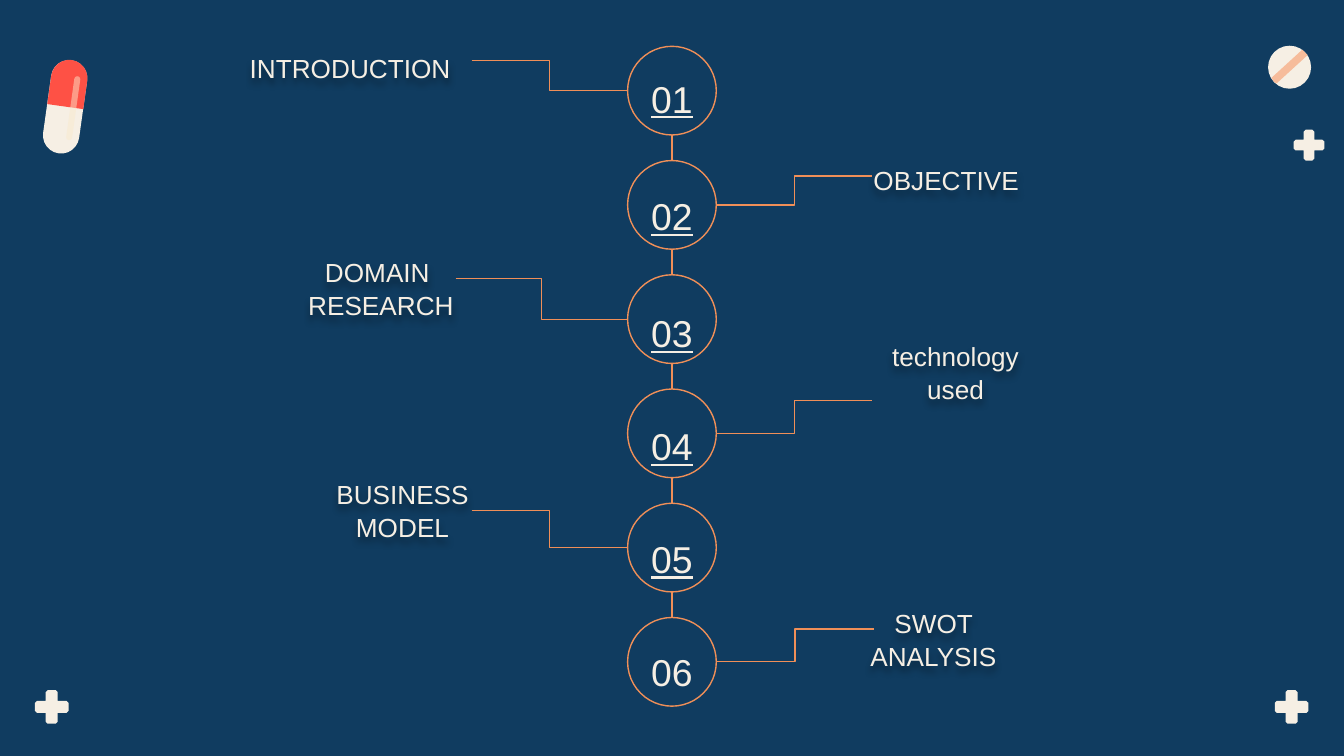
from lxml.etree import SubElement
from pptx import Presentation
from pptx.dml.color import RGBColor
from pptx.enum.shapes import MSO_CONNECTOR as LINK, MSO_SHAPE as SHAPE
from pptx.enum.text import MSO_ANCHOR as ANCHOR, PP_ALIGN as ALIGN
from pptx.oxml.ns import qn
from pptx.util import Emu, Pt

PX = 4572  # EMU per px, 200 px to the inch
NAVY, CREAM, ORANGE = "103C60", "F6EFE4", "F08F58"
RED, PEACH, SHINE = "FE5145", "F6BC9B", "FAE9CD"

# Timeline geometry
AXIS, FIRST, STEP, RADIUS = 1000, 135, 170, 66

# Number box, label, label box, outer end of the elbow
TOPICS = [
    ((934, 94, 132, 104), "INTRODUCTION", (352, 66, 388, 68), (702, 90)),
    ((886, 260, 228, 122), "OBJECTIVE", (1280, 232, 282, 68), (1298, 262)),
    ((886, 434, 228, 122), "DOMAIN \nRESEARCH", (434, 370, 266, 114), (678, 414)),
    ((886, 602, 228, 122), " technology \nused", (1264, 494, 316, 162), (1298, 596)),
    ((886, 770, 228, 122), "BUSINESS MODEL", (458, 700, 282, 114), (702, 760)),
    ((886, 938, 228, 122), "SWOT ANALYSIS", (1248, 892, 282, 114), (1300, 936)),
]


def px(*values):
    return [Emu(round(value * PX)) for value in values]


def color(value):
    return RGBColor.from_string(value)


def paint(shape, fill=None, line=None):
    shape.shadow.inherit = False
    if fill:
        shape.fill.solid()
        shape.fill.fore_color.rgb = color(fill)
    else:
        shape.fill.background()
    if line:
        shape.line.color.rgb = color(line)
        shape.line.width = Pt(0.75)
    else:
        shape.line.fill.background()
    return shape


def add_shape(page, kind, center, size, fill=None, line=None, turn=0):
    (x, y), (width, height) = center, size
    frame = px(x - width / 2, y - height / 2, width, height)
    shape = page.shapes.add_shape(kind, *frame)
    shape.rotation = turn
    return paint(shape, fill, line)


def add_outline(page, points, fill):
    builder = page.shapes.build_freeform(*points[0], scale=PX)
    builder.add_line_segments(points[1:], close=True)
    return paint(builder.convert_to_shape(), fill)


def add_link(page, kind, start, end):
    link = page.shapes.add_connector(kind, *px(*start, *end))
    link.line.color.rgb = color(ORANGE)
    link.line.width = Pt(0.75)
    SubElement(link._element.spPr, qn("a:effectLst"))


def add_text(page, text, frame, size=14, align=ALIGN.CENTER, anchor=ANCHOR.TOP,
             inset=10, spacing=1.05, underline=None, shadow=False):
    box = page.shapes.add_textbox(*px(*frame))
    body = box.text_frame
    body.word_wrap = True
    body.vertical_anchor = anchor
    body.margin_left, body.margin_right = px(20, 20)
    body.margin_top, body.margin_bottom = px(inset, inset)
    for index, words in enumerate(text.split("\n")):
        para = body.add_paragraph() if index else body.paragraphs[0]
        para.alignment = align
        para.line_spacing = spacing
        span = para.add_run()
        span.text = words
        span.font.name = "Arial"
        span.font.size = Pt(size)
        span.font.underline = underline
        span.font.color.rgb = color(CREAM)
    if shadow:
        add_shadow(box)


def add_shadow(box):
    effects = SubElement(box._element.spPr, qn("a:effectLst"))
    outer = SubElement(effects, qn("a:outerShdw"), blurRad="50800",
                       dist="38100", dir="5400000", algn="t", rotWithShape="0")
    black = SubElement(outer, qn("a:srgbClr"), val="000000")
    SubElement(black, qn("a:alpha"), val="40000")


def add_plus(page, x, y, half, arm, cut=3):
    """Plus sign with cut corners: one arm, turned four times."""
    side = [(-arm, cut - half), (cut - arm, -half), (arm - cut, -half),
            (arm, cut - half), (arm, -arm)]
    points = []
    for _ in range(4):
        points += [(x + dx, y + dy) for dx, dy in side]
        side = [(-dy, dx) for dx, dy in side]
    add_outline(page, points, CREAM)


def add_capsule(page):
    add_shape(page, SHAPE.ROUNDED_RECTANGLE, (97, 159), (54, 140),
              CREAM, turn=8).adjustments[0] = 0.5
    add_shape(page, SHAPE.ROUND_2_SAME_RECTANGLE, (102, 124), (54, 70),
              RED, turn=8).adjustments[0] = 0.5
    shine = add_shape(page, SHAPE.ROUNDED_RECTANGLE, (109, 161), (9, 96),
                      SHINE, turn=8)
    shine.adjustments[0] = 0.5
    fill = shine._element.spPr.find(qn("a:solidFill"))
    SubElement(fill[0], qn("a:alpha"), val="49000")


def add_tablet(page):
    add_shape(page, SHAPE.OVAL, (1919, 100), (64, 64), CREAM)
    add_outline(page, [(1938, 74), (1892, 116), (1896, 122), (1900, 124),
                       (1946, 82), (1942, 78)], PEACH)


def add_topic(page, index, number_box, label, label_box, outer):
    middle = FIRST + index * STEP
    add_shape(page, SHAPE.OVAL, (AXIS, middle), (2 * RADIUS, 2 * RADIUS), line=ORANGE)
    last = index == len(TOPICS) - 1
    if not last:
        add_link(page, LINK.STRAIGHT, (AXIS, middle + RADIUS),
                 (AXIS, middle + STEP - RADIUS))

    # Elbows run left to right on either side of the axis
    side = RADIUS if outer[0] > AXIS else -RADIUS
    add_link(page, LINK.ELBOW, *sorted([outer, (AXIS + side, middle)]))

    add_text(page, f"{index + 1:02}", number_box, size=20, anchor=ANCHOR.MIDDLE,
             inset=20, spacing=1.0, underline=not last)
    add_text(page, label, label_box, shadow=True,
             align=ALIGN.CENTER if " " in label or "\n" in label else ALIGN.LEFT)


def main():
    deck = Presentation()
    deck.slide_width, deck.slide_height = px(2000, 1125)
    page = deck.slides.add_slide(deck.slide_layouts[6])
    page.background.fill.solid()
    page.background.fill.fore_color.rgb = color(NAVY)

    # Medical decoration
    for plus in [(1948, 216, 23, 8), (77, 1052, 25, 9), (1922, 1052, 25, 9)]:
        add_plus(page, *plus)
    add_tablet(page)
    add_capsule(page)

    # Timeline
    for index, topic in enumerate(TOPICS):
        add_topic(page, index, *topic)

    deck.save("out.pptx")


if __name__ == "__main__":
    main()
